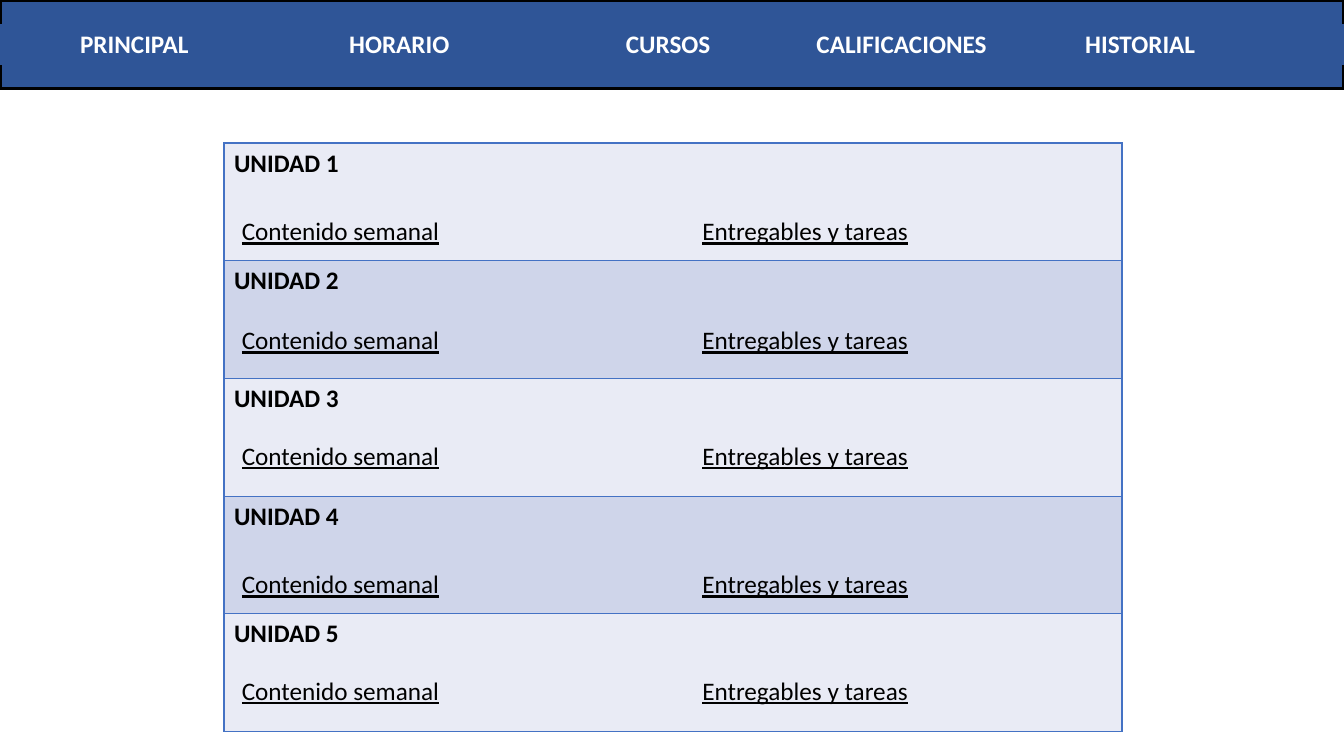
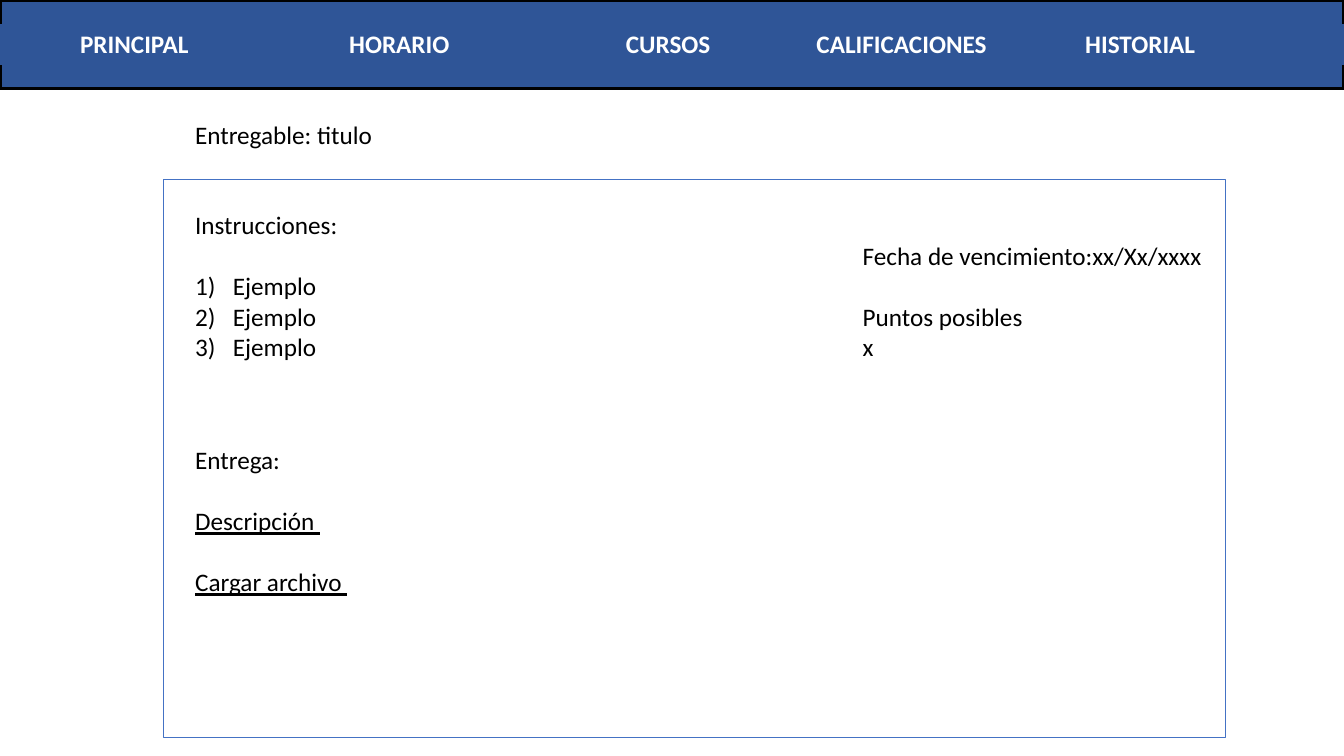
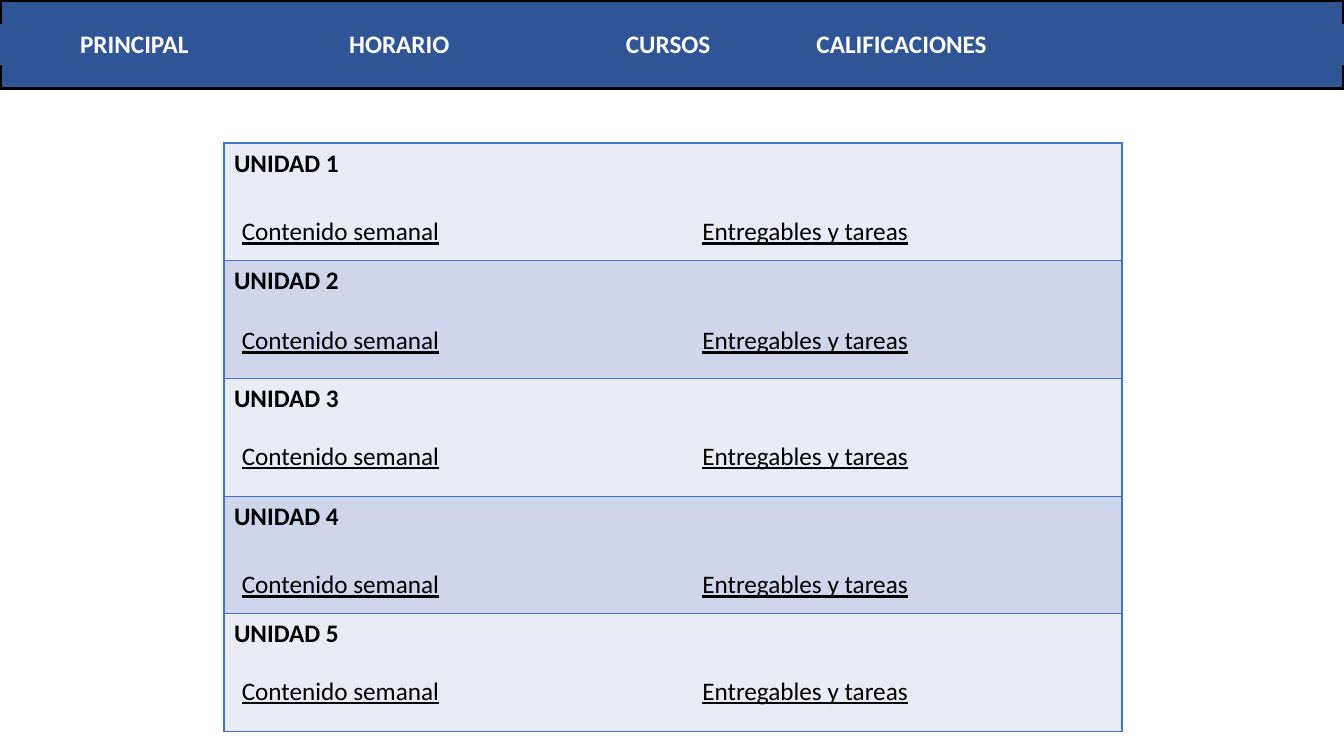
from lxml import etree
from pptx import Presentation
from pptx.dml.color import RGBColor
from pptx.enum import shapes, text
from pptx.oxml.ns import qn
from pptx.util import Pt

HUES = {"band": "2F5597", "white": "FFFFFF", "ink": "000000",
        "edge": "4472C4", "pale": "E9EBF5", "tint": "CFD5EA"}
FONT, SIZE, LINE = "Calibri", 18, 22
PLAIN = "{2D5ABB26-0587-4C30-8999-92F81FD0307C}"
MENU = ["PRINCIPAL", "HORARIO", "CURSOS", "CALIFICACIONES", "HISTORIAL"]
TABS = [192, 186.5, 197.5, 192, 192]
DROPS = [48.3, 41.9, 40.6, 48, 40.2]
LINKS = [("Contenido semanal", 5.6, 209.5), ("Entregables y tareas", 334.6, 186.5)]


def hue(name):
    """Return the named colour."""
    return RGBColor.from_string(HUES[name])


def style(para, ink="ink", bold=False, under=False):
    """Format every run of a paragraph."""
    for run in para.runs:
        font = run.font
        font.name, font.size, font.bold = FONT, Pt(SIZE), bold
        font.underline = under or None
        font.color.rgb = hue(ink)


def number(para):
    """Give a paragraph an automatic number with a hanging indent."""
    props = para._p.get_or_add_pPr()
    props.set("marL", str(Pt(27)))
    props.set("indent", str(-Pt(27)))
    etree.SubElement(props, qn("a:buAutoNum"), type="arabicParenR")


def write(slide, box, lines):
    """Add a text box; each line is (words, flags): g gap, u underline, n number."""
    frame = slide.shapes.add_textbox(*map(Pt, box)).text_frame
    frame.word_wrap = True
    frame.auto_size = text.MSO_AUTO_SIZE.SHAPE_TO_FIT_TEXT
    frame.text = "\n".join(words for words, _ in lines)
    for para, (_, flags) in zip(frame.paragraphs, lines):
        style(para, under="u" in flags)
        if "g" in flags:
            para.space_before = Pt(LINE)
        if "n" in flags:
            number(para)


def panel(slide, box, edge, width, fill=None):
    """Add an outlined rectangle."""
    rect = slide.shapes.add_shape(shapes.MSO_SHAPE.RECTANGLE, *map(Pt, box))
    rect.shadow.inherit = False
    rect.line.color.rgb = hue(edge)
    rect.line.width = Pt(width)
    if fill:
        rect.fill.solid()
        rect.fill.fore_color.rgb = hue(fill)
    else:
        rect.fill.background()


def grid(slide, box, rows, cols):
    """Add an unstyled table with equal rows and the given column widths."""
    frame = slide.shapes.add_table(rows, len(cols), *map(Pt, box))
    table = frame.table
    table.first_row = table.horz_banding = False
    for node in frame._element.iter(qn("a:tableStyleId")):
        node.text = PLAIN
    for col, width in zip(table.columns, cols):
        col.width = Pt(width)
    for row in table.rows:
        row.height = Pt(box[3] / rows)
    return table


def fill(cell, words, back, ink):
    """Set the text and background of a table cell."""
    cell.text = words
    style(cell.text_frame.paragraphs[0], ink, bold=True)
    cell.fill.solid()
    cell.fill.fore_color.rgb = hue(back)


def border(cell):
    """Draw thin lines on all four sides of a cell."""
    props = cell._tc.get_or_add_tcPr()
    for side in "LRTB":
        line = etree.SubElement(props, qn("a:ln" + side), w=str(Pt(1)))
        paint = etree.SubElement(line, qn("a:solidFill"))
        etree.SubElement(paint, qn("a:srgbClr"), val=HUES["edge"])


def header(slide, box, names):
    """Place the band with the menu across it."""
    left, top, width, high = box
    panel(slide, box, "ink", 2.25, "band")
    table = grid(slide, (left, top + 17.2, width, 29.5), 1, TABS)
    for i, cell in enumerate(table.rows[0].cells):
        fill(cell, names[i] if i < len(names) else "", "band", "white")
        if i < 3:
            cell.text_frame.paragraphs[0].alignment = text.PP_ALIGN.CENTER


def units(slide, box):
    """Place the table of units and the two links in each row."""
    left, top, width, high = box
    step = high / len(DROPS)
    table = grid(slide, box, len(DROPS), [width])
    for i, drop in enumerate(DROPS):
        cell = table.cell(i, 0)
        border(cell)
        fill(cell, f"UNIDAD {i + 1}", "tint" if i % 2 else "pale", "ink")
        for words, shift, wide in LINKS:
            spot = (left + shift, top + i * step + drop, wide, 29)
            write(slide, spot, [(words, "u")])


def task(slide, box):
    """Place the assignment panel with its title, steps, hand-in and due date."""
    left, top, width, high = box
    panel(slide, box, "edge", 0.75)
    inset = left + 15.7
    write(slide, (inset, top - 46.8, 412.5, 29), [("Entregable: titulo", "")])
    write(slide, (inset, top + 18, 240.5, 138),
          [("Instrucciones:", ""), ("Ejemplo", "gn"), ("Ejemplo", "n"), ("Ejemplo", "n")])
    write(slide, (inset, top + 185.8, 170.5, 116.5),
          [("Entrega:", ""), ("Descripción ", "gu"), ("Cargar archivo ", "gu")])
    write(slide, (left + 492.5, top + 39.6, 259.5, 94.5),
          [("Fecha de vencimiento:xx/Xx/xxxx", ""), ("Puntos posibles", "g"), ("x", "")])


def main():
    """Build and save the three slides."""
    deck = Presentation()
    deck.slide_width, deck.slide_height = Pt(960), Pt(540)
    table, sheet = (160, 102.2, 641.5, 420.5), (116.6, 128.2, 758.9, 398.9)
    plan = [(MENU, units, table), (MENU, task, sheet), (MENU[:4], units, table)]
    for names, body, box in plan:
        slide = deck.slides.add_slide(deck.slide_layouts[6])
        header(slide, (0, 0, 960, 63.4), names)
        body(slide, box)
    deck.save("out.pptx")


if __name__ == "__main__":
    main()
